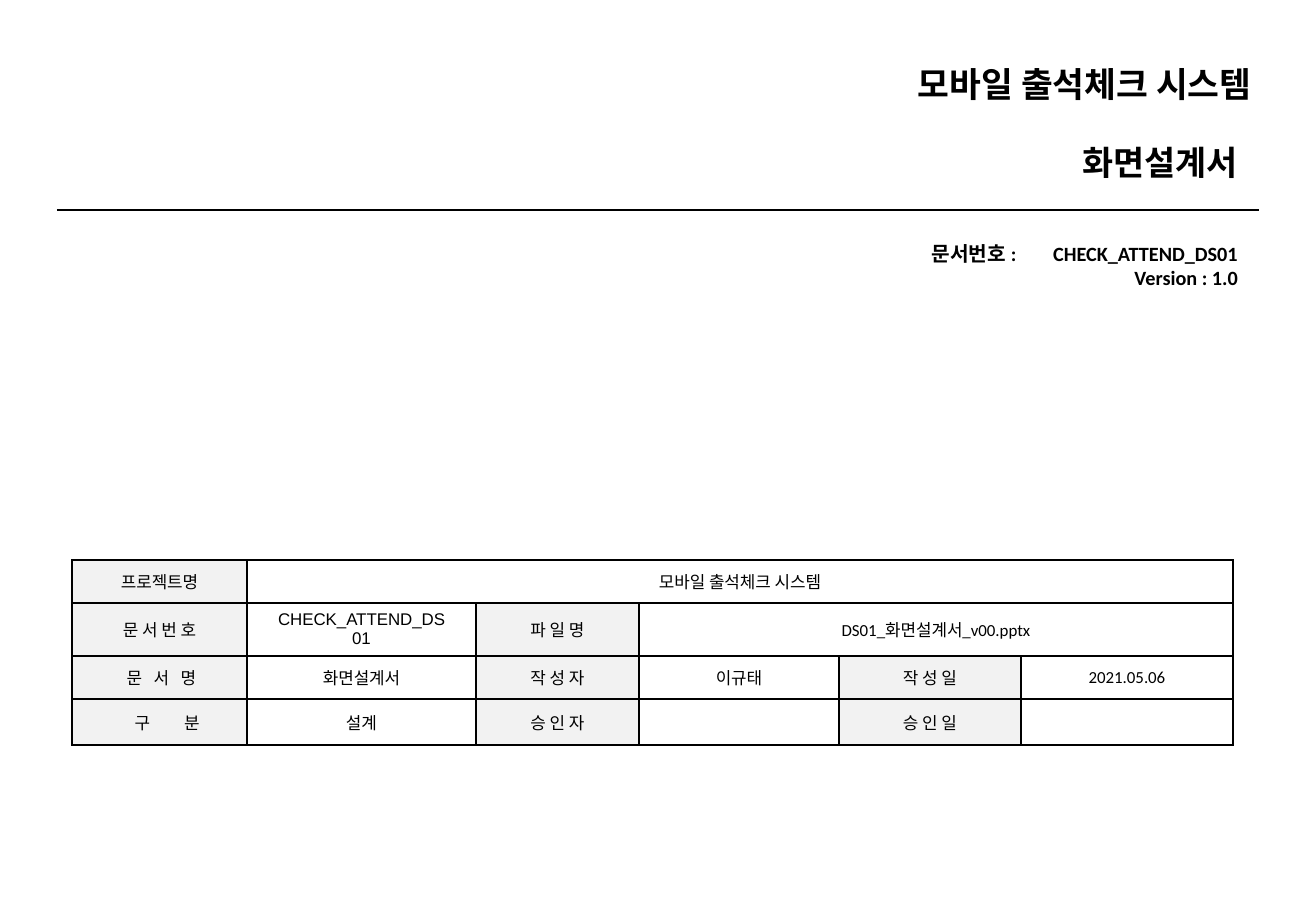
"""Build the cover slide of a screen design document."""
from lxml.etree import SubElement as Sub
from pptx import Presentation
from pptx.dml.color import RGBColor as RGB
from pptx.enum.shapes import MSO_CONNECTOR as Link
from pptx.enum.text import MSO_ANCHOR as Anchor, MSO_AUTO_SIZE as Auto, PP_ALIGN as Align
from pptx.oxml import parse_xml
from pptx.oxml.ns import nsdecls, qn
from pptx.util import Pt

PX = 914400 / 121.5
HUE = {"ink": "000000", "label": "F2F2F2", "paper": "FFFFFF"}
KOR = "Noto Sans CJK KR"


def px(*nums):
    return [round(n * PX) for n in nums]


def write(frame, text, size=10, font="Calibri", bold=False, align=Align.CENTER, gap=0):
    for i, line in enumerate(text.split("\n")):
        para = frame.add_paragraph() if i else frame.paragraphs[0]
        para.alignment = align
        run = para.add_run()
        run.text = line
        run.font.size, run.font.name, run.font.bold = Pt(size), font, bold
        run.font.color.rgb = RGB.from_string(HUE["ink"])
        props = run.font._element
        if gap:
            props.set("spc", str(round(gap * 100)))
        Sub(props, qn("a:ea"), typeface=KOR)


deck = Presentation()
deck.slide_width, deck.slide_height = px(1316, 911)
slide = deck.slides.add_slide(deck.slide_layouts[5])
shapes = slide.shapes

rule = shapes.add_connector(Link.STRAIGHT, *px(57, 210, 1259, 210))
rule.line.color.rgb = RGB.from_string(HUE["ink"])
rule.line.width = Pt(0.75)
Sub(rule._element.spPr, qn("a:effectLst"))

title = shapes.title
title.left, title.top, title.width, title.height = px(224, 57, 1028, 86)
name = shapes.add_textbox(*px(78, 136, 1160, 73))
code = shapes.add_textbox(*px(73, 235, 1165, 86))
heads = [
    (title, "모바일 출석체크 시스템", 20.5, KOR),
    (name, "화면설계서", 20, "Calibri"),
    (code, "문서번호 : \tCHECK_ATTEND_DS01\nVersion : 1.0", 12, "Calibri"),
]
for box, text, size, font in heads:
    frame = box.text_frame
    frame.word_wrap, frame.auto_size = True, Auto.NONE
    frame.vertical_anchor = Anchor.TOP
    frame.margin_right = 0
    write(frame, text, size, font, bold=True, align=Align.RIGHT)

rows = [
    ["프로젝트명", "모바일 출석체크 시스템", "", "", "", ""],
    ["문 서 번 호", "CHECK_ATTEND_DS\n01", "파 일 명", "DS01_화면설계서_v00.pptx", "", ""],
    ["문 서 명", "화면설계서", "작 성 자", "이규태", "작 성 일", "2021.05.06"],
    ["구 분", "설계", "승 인 자", "", "승 인 일", ""],
]
wide = [175, 229, 163, 200, 182, 212]
high = [43, 53, 43, 43]
gaps = {"문 서 명": 2.3, "구 분": 9}
labels = {(r, c) for r in range(4) for c in (0, 2, 4)} - {(0, 2), (0, 4), (1, 4)}

grid = shapes.add_table(4, 6, *px(72, 560, sum(wide), sum(high))).table
grid.first_row = grid.horz_banding = False
for col, width in zip(grid.columns, px(*wide)):
    col.width = width
for row, height in zip(grid.rows, px(*high)):
    row.height = height
for r, c in [(0, 1), (1, 3)]:
    grid.cell(r, c).merge(grid.cell(r, 5))

for r, row in enumerate(rows):
    for c, text in enumerate(row):
        cell = grid.cell(r, c)
        gap = gaps.get(text, 0)
        cell.vertical_anchor = Anchor.MIDDLE
        cell.margin_left, cell.margin_right = px(13, 13)
        cell.margin_left += Pt(gap)
        font = "Arial" if (r, c) == (1, 1) else "Calibri"
        write(cell.text_frame, text, font=font, gap=gap)
        cell.fill.solid()
        tone = "label" if (r, c) in labels else "paper"
        cell.fill.fore_color.rgb = RGB.from_string(HUE[tone])
        props = cell._tc.get_or_add_tcPr()
        for i, side in enumerate("LRTB"):
            props.insert(i, parse_xml(
                f'<a:ln{side} {nsdecls("a")} w="{Pt(1)}"><a:solidFill>'
                f'<a:srgbClr val="{HUE["ink"]}"/></a:solidFill></a:ln{side}>'))

deck.save("out.pptx")
